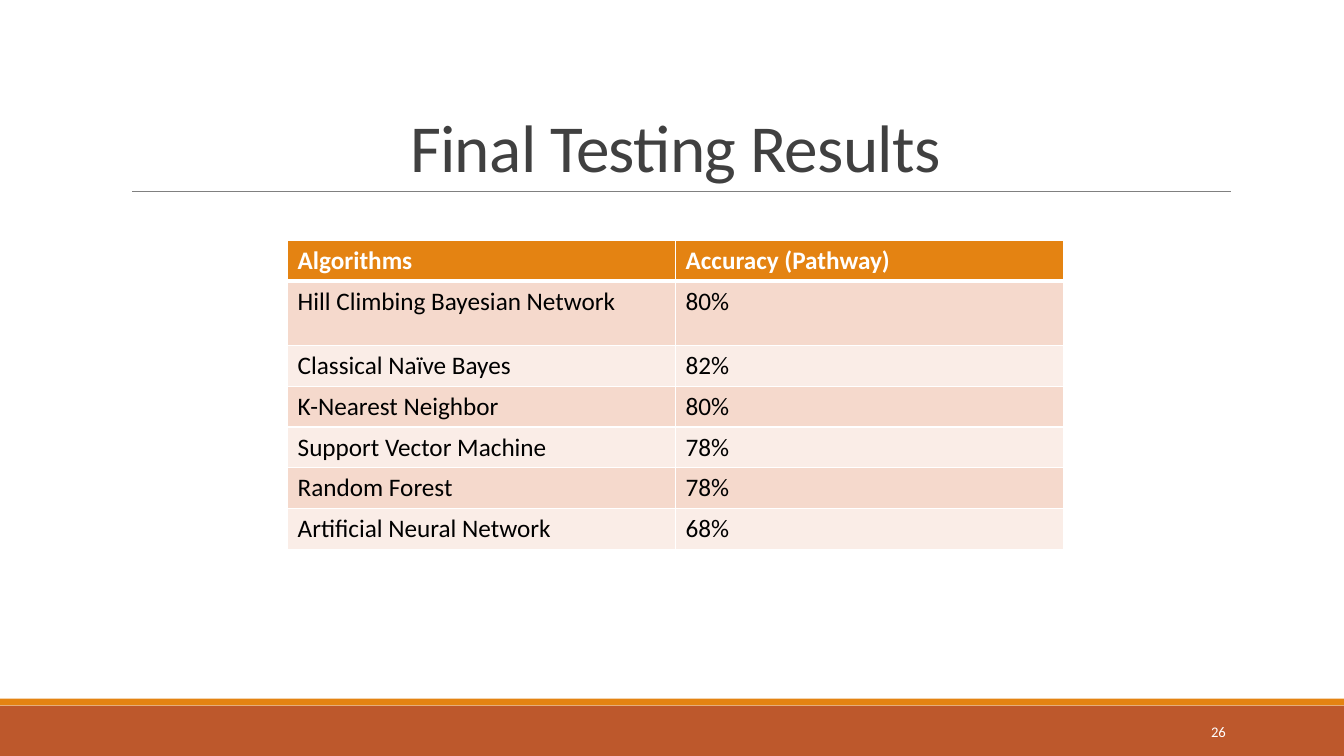
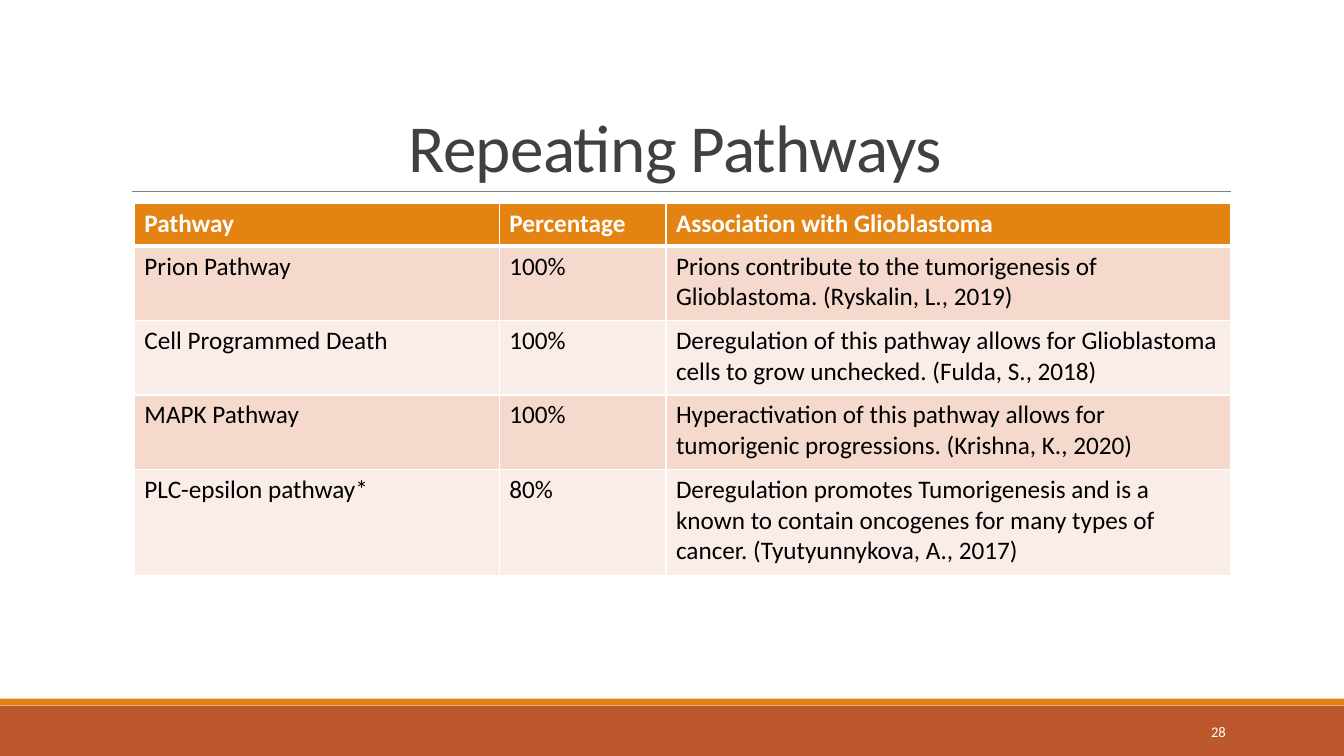
from dataclasses import dataclass

from lxml.etree import SubElement
from pptx import Presentation
from pptx.dml.color import RGBColor as RGB
from pptx.enum.shapes import MSO_CONNECTOR as CONN, MSO_SHAPE as SHAPE
from pptx.enum.text import MSO_ANCHOR as ANCHOR, PP_ALIGN as ALIGN
from pptx.oxml.ns import qn
from pptx.util import Inches, Pt


@dataclass(frozen=True)
class Theme:
    font: str = "Calibri"
    title_pt: float = 48
    table_pt: float = 18
    number_pt: float = 10.5
    ink: str = "404040"
    body: str = "000000"
    white: str = "FFFFFF"
    rule: str = "808080"
    accent: str = "E48312"
    band: str = "BD582C"
    stripes: tuple = ("F5D9CC", "FAEDE7")


class Deck:
    """Places elements on the current slide; lengths are percent of its size."""

    def __init__(self, theme):
        self.theme = theme
        self.prs = Presentation()
        self.prs.slide_width = Inches(13.33)
        self.prs.slide_height = Inches(7.5)
        self.s = None

    def x(self, share):
        return round(self.prs.slide_width * share / 100)

    def y(self, share):
        return round(self.prs.slide_height * share / 100)

    def box(self, left, top, width, height):
        return self.x(left), self.y(top), self.x(width), self.y(height)

    def slide(self, title, number):
        t = self.theme
        self.s = self.prs.slides.add_slide(self.prs.slide_layouts[6])
        self.band(93.33, 6.67, t.band)
        self.band(92.4, 0.9, t.accent)
        self.rule(9.83, 91.6, 25.33)
        p = self.text(title, (9, 4.13, 82.5, 21.2), t.title_pt, t.ink,
                      ALIGN.CENTER, ANCHOR.BOTTOM)
        p.line_spacing = 0.85
        p.runs[0].font._element.set("spc", "-50")
        self.text(str(number), (81.2, 94.13, 10.75, 5.33), t.number_pt, t.white,
                  ALIGN.RIGHT, ANCHOR.MIDDLE)

    def band(self, top, height, color):
        sp = self.s.shapes.add_shape(SHAPE.RECTANGLE, *self.box(0, top, 100, height))
        sp.shadow.inherit = False
        sp.fill.solid()
        sp.fill.fore_color.rgb = RGB.from_string(color)
        sp.line.fill.background()

    def rule(self, left, right, top):
        line = self.s.shapes.add_connector(
            CONN.STRAIGHT, self.x(left), self.y(top), self.x(right), self.y(top))
        line.line.color.rgb = RGB.from_string(self.theme.rule)
        line.line.width = Pt(0.5)
        SubElement(line._element.spPr, qn("a:effectLst"))

    def style(self, p, size, color, bold=False):
        p.font.name = self.theme.font
        p.font.size = Pt(size)
        p.font.bold = bold
        p.font.color.rgb = RGB.from_string(color)

    def text(self, text, area, size, color, align, anchor):
        tf = self.s.shapes.add_textbox(*self.box(*area)).text_frame
        tf.word_wrap = True
        tf.vertical_anchor = anchor
        p = tf.paragraphs[0]
        p.text = text
        p.alignment = align
        self.style(p, size, color)
        return p

    def table(self, left, top, cols, heights, rows):
        t = self.theme
        frame = self.s.shapes.add_table(
            len(rows), len(cols), *self.box(left, top, sum(cols), sum(heights)))
        table = frame.table
        table.horz_banding = False
        for col, width in zip(table.columns, cols):
            col.width = self.x(width)
        for i, (row, height, texts) in enumerate(zip(table.rows, heights, rows)):
            row.height = self.y(height)
            head = i == 0
            fill = t.accent if head else t.stripes[(i - 1) % 2]
            for cell, text in zip(row.cells, texts):
                cell.text = text
                self.style(cell.text_frame.paragraphs[0], t.table_pt,
                           t.white if head else t.body, head)
                self.borders(cell, top=3 if i == 1 else 1, bottom=3 if head else 1)
                cell.fill.solid()
                cell.fill.fore_color.rgb = RGB.from_string(fill)

    def borders(self, cell, top, bottom):
        tc_pr = cell._tc.get_or_add_tcPr()
        for side, width in zip("LRTB", (1, 1, top, bottom)):
            ln = SubElement(tc_pr, qn(f"a:ln{side}"), w=str(Pt(width)))
            SubElement(SubElement(ln, qn("a:solidFill")), qn("a:srgbClr"),
                       val=self.theme.white)


RESULTS = [
    ("Algorithms", "Accuracy (Pathway)"),
    ("Hill Climbing Bayesian Network", "80%"),
    ("Classical Naïve Bayes", "82%"),
    ("K-Nearest Neighbor", "80%"),
    ("Support Vector Machine", "78%"),
    ("Random Forest", "78%"),
    ("Artificial Neural Network", "68%"),
]

PATHWAYS = [
    ("Pathway", "Percentage", "Association with Glioblastoma"),
    ("Prion Pathway", "100%",
     "Prions contribute to the tumorigenesis of Glioblastoma. (Ryskalin, L., 2019)"),
    ("Cell Programmed Death", "100%",
     "Deregulation of this pathway allows for Glioblastoma cells to grow unchecked. "
     "(Fulda, S., 2018)"),
    ("MAPK Pathway", "100%",
     "Hyperactivation of this pathway allows for tumorigenic progressions. "
     "(Krishna, K., 2020)"),
    ("PLC-epsilon pathway*", "80%",
     "Deregulation promotes Tumorigenesis and is a known to contain oncogenes for "
     "many types of cancer. (Tyutyunnykova, A., 2017)"),
]


def main():
    deck = Deck(Theme())
    deck.slide("Final Testing Results", 26)
    deck.table(21.4, 31.8, [28.87] * 2, [5.4, 8.5] + [5.4] * 5, RESULTS)
    deck.slide("Repeating Pathways", 28)
    deck.table(10, 26.95, [27.15, 12.4, 42], [5.6] + [9.85] * 3 + [14], PATHWAYS)
    deck.prs.save("out.pptx")


if __name__ == "__main__":
    main()
